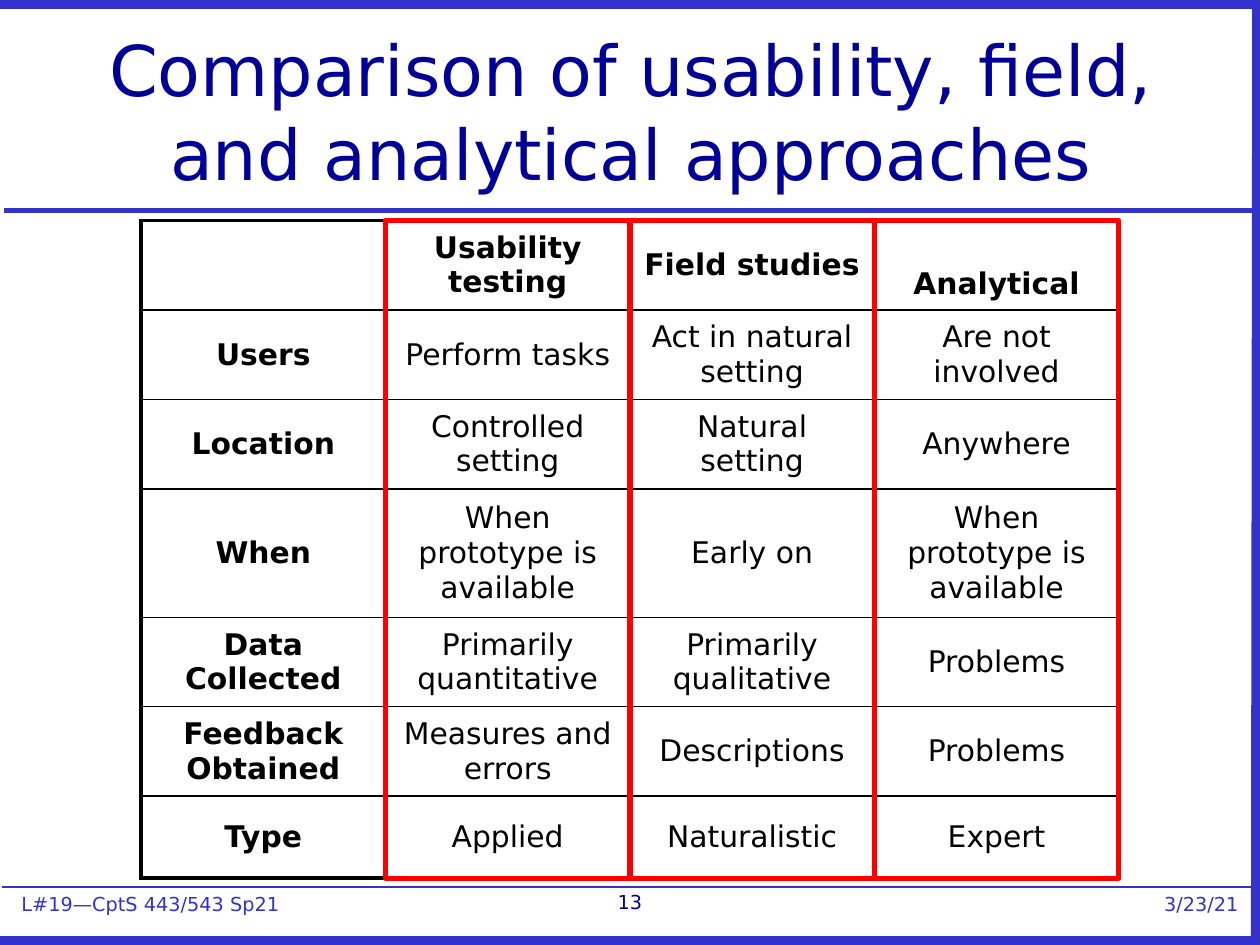
from lxml import etree
from pptx import Presentation
from pptx import util as u
from pptx.dml.color import RGBColor
from pptx.enum import shapes, text
from pptx.oxml import ns

Inches, Pt = u.Inches, u.Pt
FONT = "DejaVu Sans"
HUES = {"navy": "000099", "blue": "3333CC", "red": "FF0000",
        "black": "000000", "white": "FFFFFF"}
LEFT, TOP, COL = 1.12, 1.75, 1.94
HIGHS = [0.71, 0.71, 0.71, 1.02, 0.71, 0.71, 0.65]
ROWS = [
    ["", "Usability testing", "Field studies", "\nAnalytical"],
    ["Users", "Perform tasks", "Act in natural setting", "Are not involved"],
    ["Location", "Controlled setting", "Natural setting", "Anywhere"],
    ["When", "When prototype is available", "Early on",
     "When prototype is available"],
    ["Data Collected", "Primarily quantitative", "Primarily qualitative",
     "Problems"],
    ["Feedback Obtained", "Measures and errors", "Descriptions", "Problems"],
    ["Type", "Applied", "Naturalistic", "Expert"],
]
RULES = [  # start, end, width
    ((0.03, 1.67), (9.97, 1.67), 3),
    ((-0.01, 0.03), (9.98, 0.03), 6),
    ((-0.01, 7.47), (9.98, 7.47), 6),
    ((9.97, 7.51), (9.98, 0), 6),
    ((0.02, 7.04), (9.95, 7.04), 1),
]


def hue(name):
    return RGBColor.from_string(HUES[name])


def write(frame, words, size, color, align, bold=False):
    """Fill a text frame with one paragraph; a newline becomes a line break."""
    frame.word_wrap = True
    para = frame.paragraphs[0]
    para.alignment = align
    for i, line in enumerate(words.split("\n")):
        if i:
            para.add_line_break()
        if line:
            run = para.add_run()
            run.text = line
            font = run.font
            font.name, font.size, font.bold = FONT, Pt(size), bold
            font.color.rgb = hue(color)


def add_rect(slide, x, y, w, h):
    rect = slide.shapes.add_shape(
        shapes.MSO_SHAPE.RECTANGLE, Inches(x), Inches(y), Inches(w), Inches(h))
    rect.shadow.inherit = False
    return rect


def add_foot(slide, x, w, words, align):
    rect = add_rect(slide, x, 7.08, w, 0.18)
    rect.fill.solid()
    rect.fill.fore_color.rgb = hue("white")
    rect.line.fill.background()
    frame = rect.text_frame
    frame.margin_left = frame.margin_right = 0
    frame.margin_top = frame.margin_bottom = 0
    frame.vertical_anchor = text.MSO_ANCHOR.TOP
    write(frame, words, 11, "blue", align)


def add_rule(slide, start, end, width):
    rule = slide.shapes.add_connector(
        shapes.MSO_CONNECTOR.STRAIGHT, *map(Inches, start + end))
    rule.line.color.rgb = hue("blue")
    rule.line.width = Pt(width)
    etree.SubElement(rule._element.spPr, ns.qn("a:effectLst"))


def add_page(slide, words):
    box = slide.shapes.add_textbox(
        Inches(0.25), Inches(7.02), Inches(9.5), Inches(0.17))
    write(box.text_frame, words, 11, "navy", text.PP_ALIGN.CENTER)


def set_title(slide, words):
    title = slide.shapes.title
    title.left, title.top = Inches(0.17), Inches(0.17)
    title.width, title.height = Inches(9.67), Inches(1.42)
    frame = title.text_frame
    frame.auto_size = text.MSO_AUTO_SIZE.NONE
    frame.vertical_anchor = text.MSO_ANCHOR.MIDDLE
    write(frame, words, 40, "navy", text.PP_ALIGN.CENTER)


def set_edge(cell, outer):
    """Draw the four cell borders, thicker on the sides named in outer."""
    props = cell._tc.get_or_add_tcPr()
    for i, side in enumerate("LRTB"):
        width = Pt(2.25 if side in outer else 1)
        edge = etree.Element(ns.qn("a:ln" + side), w=str(int(width)))
        fill = etree.SubElement(edge, ns.qn("a:solidFill"))
        etree.SubElement(fill, ns.qn("a:srgbClr"), val=HUES["black"])
        props.insert(i, edge)


def add_grid(slide):
    rows, cols = len(ROWS), len(ROWS[0])
    table = slide.shapes.add_table(
        rows, cols, Inches(LEFT), Inches(TOP),
        Inches(COL * cols), Inches(sum(HIGHS))).table
    table.first_row = table.horz_banding = False
    for col in table.columns:
        col.width = Inches(COL)
    for r, (words, high) in enumerate(zip(ROWS, HIGHS)):
        table.rows[r].height = Inches(high)
        for c, word in enumerate(words):
            cell = table.cell(r, c)
            cell.fill.background()
            cell.vertical_anchor = text.MSO_ANCHOR.MIDDLE
            cell.margin_left = cell.margin_right = Inches(0.11)
            cell.margin_top = cell.margin_bottom = Inches(0.06)
            write(cell.text_frame, word, 17, "black", text.PP_ALIGN.CENTER,
                  bold=r == 0 or c == 0)
            ends = {"L": c == 0, "R": c == cols - 1,
                    "T": r == 0, "B": r == rows - 1}
            set_edge(cell, [side for side in ends if ends[side]])


def add_frame(slide, col):
    """Outline one table column in red."""
    rect = add_rect(slide, LEFT + col * COL, TOP, COL, sum(HIGHS))
    rect.fill.background()
    rect.line.color.rgb = hue("red")
    rect.line.width = Pt(3)
    etree.SubElement(rect.line._get_or_add_ln(), ns.qn("a:round"))


def main():
    deck = Presentation()
    deck.slide_width, deck.slide_height = Inches(10), Inches(7.5)
    slide = deck.slides.add_slide(deck.slide_layouts[5])
    add_foot(slide, 0.17, 2.5, "L#19—CptS 443/543 Sp21", text.PP_ALIGN.LEFT)
    add_foot(slide, 7.5, 2.33, "3/23/21", text.PP_ALIGN.RIGHT)
    for start, end, width in RULES:
        add_rule(slide, start, end, width)
    add_page(slide, "13")
    set_title(slide,
              "Comparison of usability, field, and analytical approaches")
    add_grid(slide)
    for col in range(1, len(ROWS[0])):
        add_frame(slide, col)
    deck.save("out.pptx")


if __name__ == "__main__":
    main()
